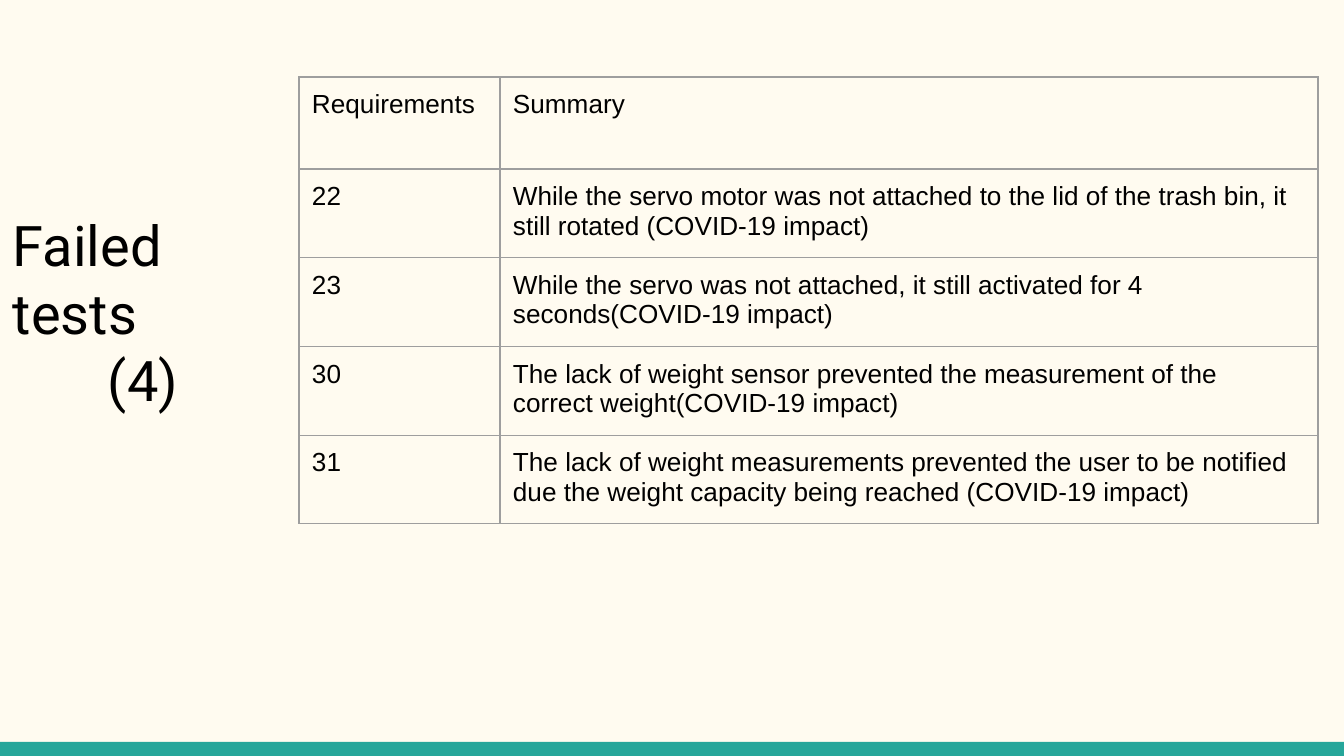
"""Build the slide that lists the failed tests in a table."""
import pptx
import pptx.dml.color
import pptx.enum.shapes
import pptx.enum.text
import pptx.oxml
import pptx.oxml.ns
import pptx.util

PIXEL = 914400 / 134.4
CREAM = pptx.dml.color.RGBColor(0xFF, 0xFB, 0xF0)
TEAL = pptx.dml.color.RGBColor(0x26, 0xA6, 0x9A)
BLACK = pptx.dml.color.RGBColor(0, 0, 0)
GREY = pptx.dml.color.RGBColor(0x9E, 0x9E, 0x9E)
INSET = 13


def px(length):
    return pptx.util.Emu(round(length * PIXEL))


def write(para, text, font="Arial", size=14, indent=0):
    span = para.add_run()
    span.text = text
    span.font.name = font
    span.font.size = pptx.util.Pt(size)
    span.font.color.rgb = BLACK
    if indent:
        properties = para._p.get_or_add_pPr()
        properties.set("marL", str(px(indent)))
        properties.set("indent", "0")


deck = pptx.Presentation()
deck.slide_width, deck.slide_height = px(1344), px(756)
page = deck.slides.add_slide(deck.slide_layouts[6])
page.background.fill.solid()
page.background.fill.fore_color.rgb = CREAM

footer = page.shapes.add_shape(
    pptx.enum.shapes.MSO_SHAPE.RECTANGLE, px(0), px(742), px(1344), px(14))
footer.shadow.inherit = False
footer.fill.solid()
footer.fill.fore_color.rgb = TEAL
footer.line.fill.background()

title = page.shapes.add_textbox(px(0), px(198), px(305), px(213)).text_frame
title.word_wrap = True
title.vertical_anchor = pptx.enum.text.MSO_ANCHOR.TOP
title.margin_left = title.margin_right = px(INSET)
title.margin_top = title.margin_bottom = px(INSET)
write(title.paragraphs[0], "Failed tests", font="Roboto", size=30)
write(title.add_paragraph(), "(4)", font="Roboto", size=30, indent=95)

rows = [
    ("Requirements", "Summary"),
    ("22", "While the servo motor was not attached to the lid of the trash bin, "
           "it still rotated (COVID-19 impact)"),
    ("23", "While the servo was not attached, it still activated for 4 "
           "seconds(COVID-19 impact)"),
    ("30", "The lack of weight sensor prevented the measurement of the "
           "correct weight(COVID-19 impact)"),
    ("31", "The lack of weight measurements prevented the user to be notified "
           "due the weight capacity being reached (COVID-19 impact)"),
]
widths = [201, 818]
heights = [92] + [88] * 4
table = page.shapes.add_table(
    len(rows), len(widths), px(299), px(77), px(sum(widths)), px(sum(heights))).table
for column, width in zip(table.columns, widths):
    column.width = px(width)
for row, height in zip(table.rows, heights):
    row.height = px(height)

for row, texts in zip(table.rows, rows):
    for cell, text in zip(row.cells, texts):
        cell.margin_left = cell.margin_right = px(INSET)
        cell.margin_top = cell.margin_bottom = px(INSET)
        write(cell.text_frame.paragraphs[0], text)
        properties = cell._tc.get_or_add_tcPr()
        for side in ("lnL", "lnR", "lnT", "lnB"):
            properties.append(pptx.oxml.parse_xml(
                f'<a:{side} {pptx.oxml.ns.nsdecls("a")} w="{pptx.util.Pt(0.75)}">'
                f'<a:solidFill><a:srgbClr val="{GREY}"/></a:solidFill></a:{side}>'))
        cell.fill.background()

deck.save("out.pptx")
